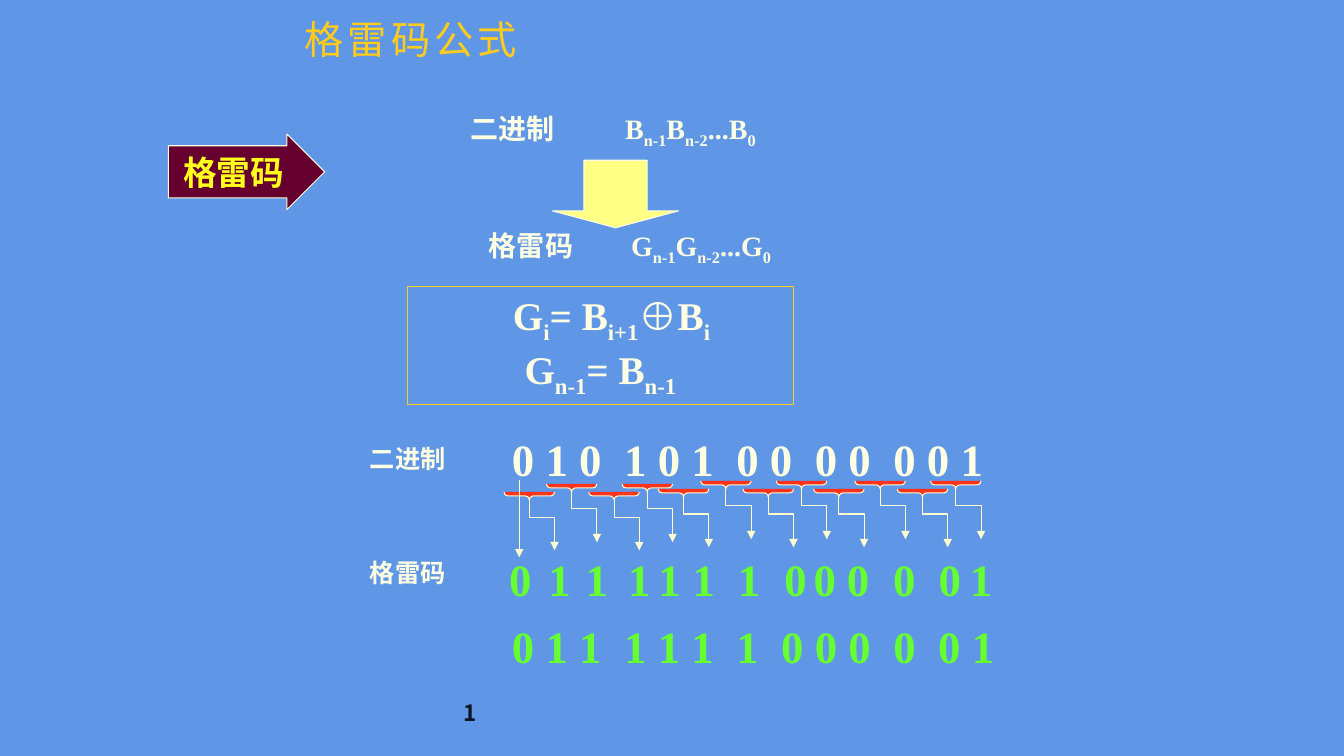
import pptx
import pptx.util
import pptx.dml.color
import pptx.enum.shapes
import pptx.enum.text
import pptx.oxml.ns
import lxml.etree

Inches = pptx.util.Inches
RGB = pptx.dml.color.RGBColor
MSO = pptx.enum.shapes.MSO_SHAPE
ALIGN = pptx.enum.text.PP_ALIGN
ANCHOR = pptx.enum.text.MSO_ANCHOR
qn = pptx.oxml.ns.qn

BLUE = RGB(0x60, 0x96, 0xE6)
CREAM = RGB(0xFF, 0xFF, 0xE3)
IVORY = RGB(0xFF, 0xFF, 0xD0)
YELLOW = RGB(0xFF, 0xFF, 0x1C)
PALE_YELLOW = RGB(0xFF, 0xFF, 0x85)
GOLD = RGB(0xFF, 0xCC, 0x1C)
GREEN = RGB(0x66, 0xFF, 0x2F)
RED = RGB(0xFF, 0x33, 0x1C)
MAROON = RGB(0x66, 0x00, 0x2F)
INK = RGB(0x0F, 0x14, 0x23)

prs = pptx.Presentation()
prs.slide_width, prs.slide_height = Inches(13.33), Inches(7.5)
s = prs.slides.add_slide(prs.slide_layouts[6])
s.background.fill.solid()
s.background.fill.fore_color.rgb = BLUE


def write(sp, lines, size, color, align=ALIGN.LEFT, anchor=ANCHOR.MIDDLE, wrap=True,
          font="Times New Roman", bold=True):
    tf = sp.text_frame
    tf.word_wrap, tf.vertical_anchor = wrap, anchor
    for i, runs in enumerate(lines):
        p = tf.add_paragraph() if i else tf.paragraphs[0]
        p.alignment = align
        for text, attrs in runs:
            r = p.add_run()
            r.text = text
            fmt = {"name": font, "size": pptx.util.Pt(size), "bold": bold}
            for name, value in fmt.items():
                setattr(r.font, name, value)
            r.font.color.rgb = color
            for name, value in attrs.items():
                r.font._element.set(name, value)
    return tf


def style(sp, line, fill=None, arrow=False):
    sp.line.color.rgb = line
    sp.line.width = pptx.util.Pt(0.75)
    if fill is not None:
        sp.fill.solid()
        sp.fill.fore_color.rgb = fill
    if arrow:
        ln = sp._element.spPr.find(qn("a:ln"))
        lxml.etree.SubElement(ln, qn("a:tailEnd")).set("type", "triangle")
    lxml.etree.SubElement(sp._element.spPr, qn("a:effectLst"))


sub = {"baseline": "-25000"}

sp = s.shapes.add_textbox(*map(Inches, (4.5, 6.91, 4.33, 0.35)))
tf = write(sp, [[("1", {})]], 16, INK, anchor=ANCHOR.BOTTOM, font="Noto Sans CJK JP")
tf.paragraphs[0].line_spacing = 0.9

sp = s.shapes.add_textbox(*map(Inches, (2.92, 0, 6.42, 0.67)))
write(sp, [[("格雷码公式", {"spc": "300"})]], 28, GOLD, anchor=ANCHOR.BOTTOM,
      font="Arial", bold=False)

sp = s.shapes.add_shape(MSO.RIGHT_ARROW, *map(Inches, (1.67, 1.33, 1.55, 0.75)))
sp.adjustments[0], sp.adjustments[1] = 0.69, 0.5
style(sp, CREAM, MAROON)
write(sp, [[("格雷码", {})]], 24, YELLOW, ALIGN.CENTER, wrap=False)

for label, letter, left, top, inset, tab in (
        ("二进制", "B", 4.17, 0.92, 0.5, 1.53),
        ("格雷码", "G", 4.13, 2.08, 0.72, 1.41)):
    sp = s.shapes.add_textbox(*map(Inches, (left, top, 4, 0.75)))
    tf = write(sp, [[(label + "\t" + letter, {}), ("n-1", sub), (letter, {}),
                     ("n-2", sub), ("..." + letter, {}), ("0", sub)]], 20, CREAM)
    tf.margin_left = Inches(inset)
    tabs = lxml.etree.SubElement(tf.paragraphs[0]._p.get_or_add_pPr(), qn("a:tabLst"))
    stop = lxml.etree.SubElement(tabs, qn("a:tab"))
    stop.set("pos", str(Inches(tab)))
    stop.set("algn", "l")

sp = s.shapes.add_shape(MSO.DOWN_ARROW, *map(Inches, (5.48, 1.59, 1.25, 0.67)))
sp.adjustments[0], sp.adjustments[1] = 0.5, 0.25
style(sp, CREAM, PALE_YELLOW)

sp = s.shapes.add_shape(MSO.RECTANGLE, *map(Inches, (4.04, 2.84, 3.83, 1.17)))
sp.fill.background()
style(sp, GOLD)
tf = write(sp, [[("G", {}), ("i", sub), ("= B", {}), ("i+1", sub), ("⊕B", {}), ("i", sub)],
                [("G", {}), ("n-1", sub), ("= B", {}), ("n-1", sub)]],
           28, CREAM, ALIGN.CENTER, wrap=False)
tf.paragraphs[0]._p.get_or_add_pPr().set("marL", str(Inches(0.22)))

for groups, top, color in (
        (("0 1 0", "1 0 1", "0 0", "0 0", "0 0 1"), 4.27, CREAM),
        (("0 1 1", "1 1 1", "1", "0 0 0", "0", "0 1"), 6.12, GREEN)):
    runs = [(groups[0], {})]
    for group in groups[1:]:
        runs += [(" ", {"spc": "800"}), (group, {})]
    sp = s.shapes.add_textbox(*map(Inches, (4.98, top, 5.06, 0.56)))
    write(sp, [runs], 32, color)

for label, top in (("二进制", 4.35), ("格雷码", 5.48)):
    sp = s.shapes.add_textbox(*map(Inches, (3.57, top, 0.95, 0.4)))
    write(sp, [[(label, {})]], 18, CREAM, anchor=ANCHOR.TOP, wrap=False)

pair_x = (5.25, 5.67, 6.09, 6.42, 6.78, 7.2, 7.62, 7.95, 8.32, 8.73, 9.15, 9.48)
for i, x in enumerate(pair_x):
    y = 4.85 + (0.08 if i % 2 == 0 else 0) + (0.03 if i < 4 else 0)
    brace = s.shapes.add_shape(MSO.LEFT_BRACE, *map(Inches, (x - 0.04, y - 0.29, 0.08, 0.5)))
    brace.rotation = 270
    brace.adjustments[0], brace.adjustments[1] = 0.5, 0.5
    style(brace, IVORY, RED)
    fb = s.shapes.build_freeform(Inches(x), Inches(y))
    bends = ((x, y + 0.17), (x + 0.25, y + 0.17), (x + 0.25, y + 0.5))
    fb.add_line_segments([(Inches(a), Inches(b)) for a, b in bends], close=False)
    arrow = fb.convert_to_shape()
    arrow.fill.background()
    style(arrow, IVORY, arrow=True)

first = s.shapes.add_connector(pptx.enum.shapes.MSO_CONNECTOR.STRAIGHT,
                               *map(Inches, (5.15, 4.76, 5.15, 5.53)))
style(first, IVORY, arrow=True)

gray_x = (4.95, 5.34, 5.71, 6.13, 6.43, 6.77, 7.22, 7.68, 7.97, 8.3, 8.76, 9.21, 9.52)
for x, bit in zip(gray_x, "0111111000001"):
    sp = s.shapes.add_textbox(*map(Inches, (x, 5.42, 0.42, 0.64)))
    write(sp, [[(bit, {})]], 32, GREEN, ALIGN.CENTER, ANCHOR.TOP, wrap=False)

prs.save("out.pptx")
